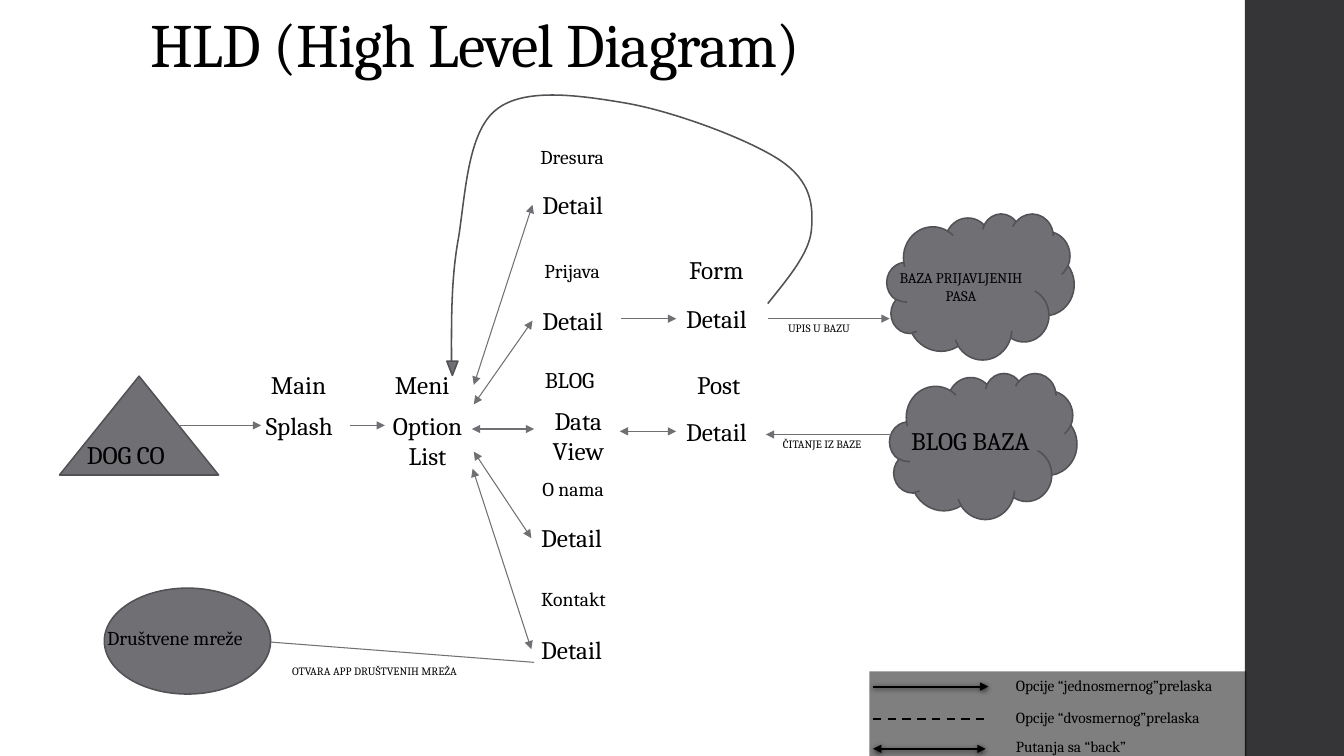
from dataclasses import dataclass

from lxml.etree import SubElement
from pptx import Presentation
from pptx.dml.color import RGBColor
from pptx.enum.dml import MSO_LINE as Dash
from pptx.enum.shapes import MSO_CONNECTOR as Link, MSO_SHAPE as Form
from pptx.enum.text import MSO_ANCHOR as Anchor, MSO_AUTO_SIZE as Fit, PP_ALIGN as Align
from pptx.oxml.ns import qn
from pptx.util import Cm, Pt


@dataclass(frozen=True)
class Theme:
    font: str = "Cambria"
    ink: str = "000000"
    node: str = "6F6F74"
    outline: str = "525256"
    sidebar: str = "353537"
    title: float = 44
    large: float = 18
    medium: float = 16
    label: float = 14
    legend: float = 11
    cloud: float = 10.5
    caption: float = 8
    outline_width: float = 1.1
    link_width: float = 0.75


class Diagram:
    def __init__(self, page, theme):
        self.page, self.theme = page, theme

    def text(self, lines, left, top, width, size, aligns=(Align.LEFT,), wrap=True):
        """Lines share one box; aligns holds one entry per line."""
        height = len(lines) * size * 0.042 + 0.26
        box = self.page.shapes.add_textbox(Cm(left), Cm(top), Cm(width), Cm(height))
        frame = box.text_frame
        frame.word_wrap = wrap
        frame.auto_size = Fit.SHAPE_TO_FIT_TEXT
        for number, (line, align) in enumerate(zip(lines, aligns)):
            para = frame.add_paragraph() if number else frame.paragraphs[0]
            para.alignment = align
            span = para.add_run()
            span.text = line
            span.font.name = self.theme.font
            span.font.size = Pt(size)
            span.font.color.rgb = RGBColor.from_string(self.theme.ink)
        return box

    def title(self, line, left, top, width, height):
        box = self.text([line], left, top, width, self.theme.title)
        frame = box.text_frame
        frame.auto_size = Fit.NONE
        frame.vertical_anchor = Anchor.BOTTOM
        box.height = Cm(height)
        para = frame.paragraphs[0]
        para.line_spacing = 0.9
        para.runs[0].font._element.set("spc", "-50")

    def shape(self, form, left, top, width, height, fill=None, outlined=True, alpha=None):
        shape = self.page.shapes.add_shape(form, Cm(left), Cm(top), Cm(width), Cm(height))
        shape.shadow.inherit = False
        shape.fill.solid()
        shape.fill.fore_color.rgb = RGBColor.from_string(fill or self.theme.node)
        if alpha:
            color = shape._element.spPr.find(qn("a:solidFill"))[0]
            SubElement(color, qn("a:alpha"), val=str(alpha * 1000))
        if outlined:
            self.outline(shape)
        else:
            shape.line.fill.background()
        return shape

    def outline(self, shape):
        shape.line.color.rgb = RGBColor.from_string(self.theme.outline)
        shape.line.width = Pt(self.theme.outline_width)

    def link(self, start, end, ends="tail", color=None, width=None, dash=None, shadow=False):
        """Draw a line; ends names the arrowheads, "head" at start and "tail" at end."""
        link = self.page.shapes.add_connector(Link.STRAIGHT, *map(Cm, start + end))
        link.line.color.rgb = RGBColor.from_string(color or self.theme.node)
        link.line.width = Pt(width or self.theme.link_width)
        if dash:
            link.line.dash_style = dash
        props = link._element.spPr
        for name in ends.split():
            SubElement(props.find(qn("a:ln")), qn(f"a:{name}End"), type="triangle")
        effects = SubElement(props, qn("a:effectLst"))
        if shadow:
            outer = SubElement(effects, qn("a:outerShdw"), blurRad=str(Pt(4)),
                               dist=str(Pt(1.2)), dir="5400000", rotWithShape="0")
            tint = SubElement(outer, qn("a:srgbClr"), val=self.theme.ink)
            SubElement(tint, qn("a:alpha"), val="75000")

    def curve(self, start, points):
        """Draw cubic segments; every three points are two controls and an end."""
        builder = self.page.shapes.build_freeform(Cm(start[0]), Cm(start[1]))
        builder.add_line_segments([(Cm(x), Cm(y)) for x, y in points], close=False)
        shape = builder.convert_to_shape()
        shape.shadow.inherit = False
        shape.fill.background()
        self.outline(shape)
        outline = next(shape._element.iter(qn("a:moveTo"))).getparent()
        steps = outline.findall(qn("a:lnTo"))
        for first in range(0, len(steps), 3):
            cubic = SubElement(outline, qn("a:cubicBezTo"))
            for step in steps[first:first + 3]:
                cubic.append(step[0])
                outline.remove(step)


def main():
    deck = Presentation()
    deck.slide_width, deck.slide_height = Cm(33.87), Cm(19.05)
    theme = Theme()
    diagram = Diagram(deck.slides.add_slide(deck.slide_layouts[6]), theme)

    # Sidebar and title
    diagram.shape(Form.RECTANGLE, 31.37, 0, 2.5, 19.05, theme.sidebar, outlined=False)
    diagram.title("HLD (High Level Diagram)", 3.54, -0.05, 23.88, 2.21)

    # Start, social networks and databases
    diagram.shape(Form.ISOSCELES_TRIANGLE, 1.5, 9.48, 4.01, 2.49)
    diagram.shape(Form.OVAL, 2.63, 14.82, 4.19, 2.67)
    for left, top in ((22.35, 5.38), (22.42, 9.4)):
        diagram.shape(Form.CLOUD, left, top, 4.72, 3.68)
    diagram.text(["DOG CO"], 1.94, 10.95, 3.15, theme.large, wrap=False)
    diagram.text(["Društvene mreže"], 2.45, 15.65, 5.61, theme.label)
    diagram.text(["BAZA PRIJAVLJENIH", "PASA"], 22.42, 6.65, 4.57, theme.cloud,
                 (Align.LEFT, Align.CENTER), wrap=False)
    diagram.text(["BLOG BAZA"], 22.71, 10.59, 4.37, theme.large, wrap=False)

    # Screen names and the kind of each screen
    for name, left, top, width, size in (
            ("Main", 6.58, 9.19, 2.24, theme.large),
            ("Splash", 6.45, 10.21, 2.79, theme.large),
            ("Meni", 9.7, 9.19, 2.24, theme.large),
            ("Dresura", 13.37, 3.53, 3, theme.label),
            ("Detail", 13.42, 4.65, 2.79, theme.large),
            ("Prijava", 13.47, 6.4, 2.79, theme.label),
            ("Detail", 13.42, 7.57, 2.79, theme.large),
            ("BLOG", 13.48, 9.09, 2.64, theme.medium),
            ("O nama", 13.42, 11.9, 2.9, theme.label),
            ("Detail", 13.39, 13.03, 2.79, theme.large),
            ("Kontakt", 13.39, 14.66, 2.79, theme.label),
            ("Detail", 13.39, 15.85, 2.79, theme.large),
            ("Form", 17.12, 6.29, 2.24, theme.large),
            ("Detail", 17.04, 7.52, 2.79, theme.large),
            ("Post", 17.32, 9.17, 2.24, theme.large),
            ("Detail", 17.04, 10.36, 2.79, theme.large)):
        diagram.text([name], left, top, width, size)
    diagram.text(["Option", "List"], 9.38, 10.21, 2.79, theme.large, (Align.CENTER,) * 2)
    data_view = diagram.text(["Data View"], 13.18, 10.08, 2.79, theme.large, (Align.CENTER,))
    data_view.height = Cm(1.8)

    # One-way links
    for start, end in (((4.52, 10.72), (6.58, 10.72)), ((8.81, 10.72), (9.7, 10.72)),
                       ((15.65, 8.03), (17.04, 8.03)), ((19.35, 8.03), (22.42, 8.03)),
                       ((22.45, 10.95), (19.3, 10.95))):
        diagram.link(start, end)

    # Two-way links
    for start, end in (((11.94, 9.7), (13.42, 5.16)), ((11.94, 10.19), (13.42, 8.08)),
                       ((11.89, 10.81), (13.46, 10.81)), ((11.94, 11.38), (13.39, 13.56)),
                       ((11.91, 11.81), (13.39, 16.36)), ((15.62, 10.87), (17.04, 10.87))):
        diagram.link(start, end, "head tail")
    diagram.link((13.46, 16.69), (6.83, 16.18), "")

    # Return path from the form to the menu
    diagram.curve((19.35, 7.65), (
        (19.86, 7.01), (20.4, 6.38), (20.45, 5.79),
        (20.5, 5.18), (20.45, 4.57), (19.66, 4.04),
        (18.87, 3.51), (16.94, 2.79), (15.72, 2.59),
        (14.53, 2.39), (13.18, 2.21), (12.5, 2.77),
        (11.79, 3.33), (11.73, 4.88), (11.56, 5.97),
        (11.35, 7.09), (11.38, 8.26), (11.38, 9.4)))
    diagram.shape(Form.ISOSCELES_TRIANGLE, 11.26, 9.1, 0.28, 0.36).rotation = 180

    # Link captions
    for caption, left, top, width in (("UPIS U BAZU", 19.61, 7.98, 2.44),
                                      ("ČITANJE IZ BAZE", 19.48, 10.9, 3.07),
                                      ("OTVARA APP DRUŠTVENIH MREŽA", 7.11, 16.61, 5.64)):
        diagram.text([caption], left, top, width, theme.caption, wrap=False)

    # Legend
    diagram.shape(Form.RECTANGLE, 21.91, 16.92, 9.5, 2.13, theme.ink, outlined=False, alpha=50)
    for entry, top, wide, line_top, right, ends, weight, dash in (
            ("Opcije “jednosmernog”prelaska", 16.92, 6.43, 17.3, 24.91, "tail", 1.35, None),
            ("Opcije “dvosmernog”prelaska", 17.71, 6.43, 18.11, 24.96, "", 1.5, Dash.DASH),
            ("Putanja sa “back”", 18.44, 4.19, 18.87, 24.84, "head tail", 1.35, None)):
        diagram.link((22, line_top), (right, line_top), ends, theme.ink, weight, dash,
                     shadow=dash is None)
        diagram.text([entry], 25.35, top, wide, theme.legend)

    deck.save("out.pptx")


if __name__ == "__main__":
    main()
